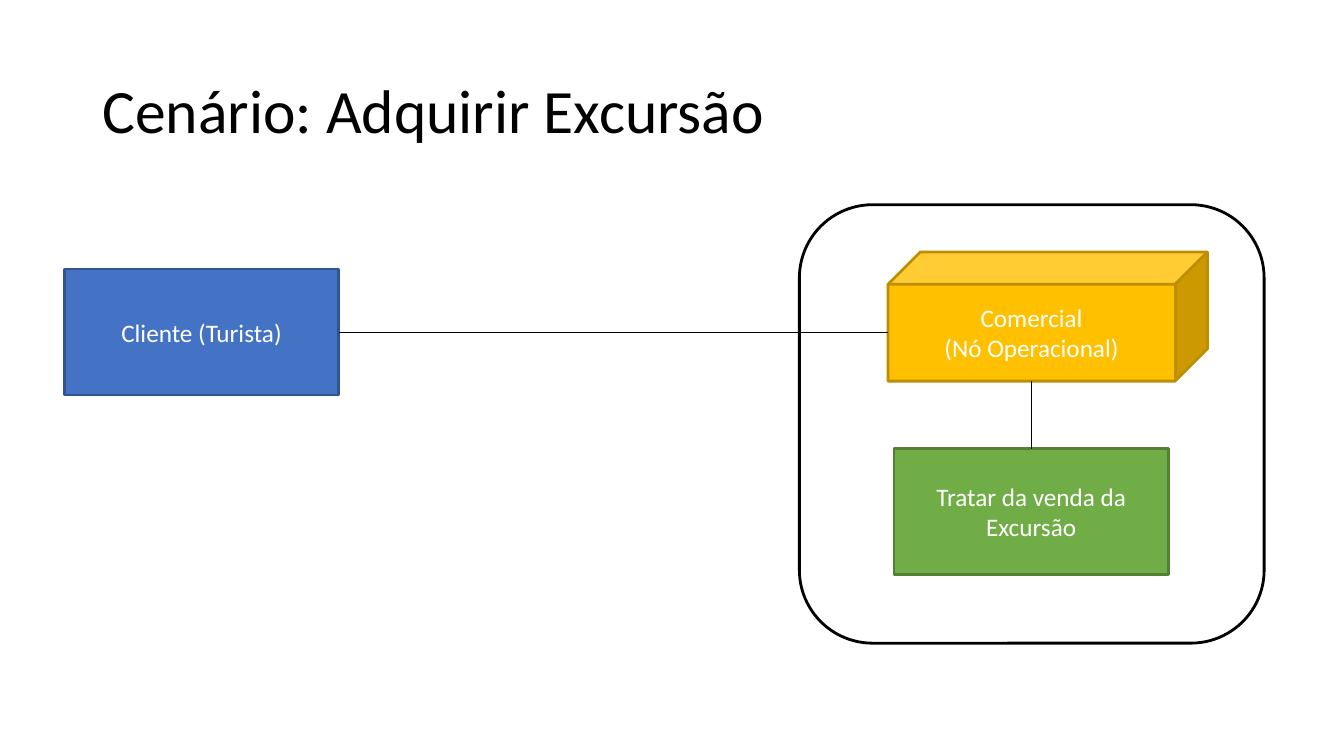
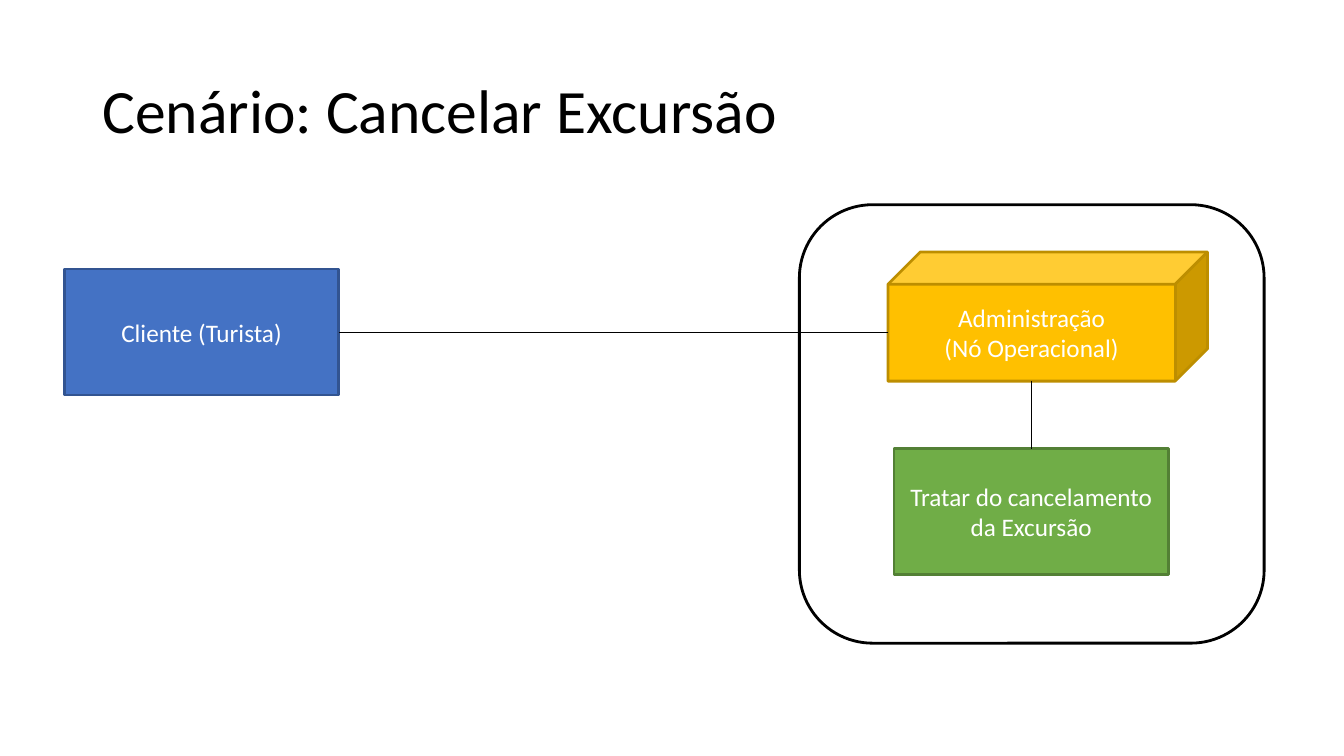
from dataclasses import dataclass

from lxml import etree
from pptx import Presentation
from pptx import util as u
from pptx.dml.color import RGBColor
from pptx.enum import shapes, text
from pptx.oxml.ns import qn

SCENARIOS = [
    {"title": "Cenário: Adquirir Excursão",
     "client": ["Cliente (Turista)"],
     "node": ["Comercial", "(Nó Operacional)"],
     "task": ["Tratar da venda da Excursão"]},
    {"title": "Cenário: Cancelar Excursão",
     "client": ["Cliente (Turista)"],
     "node": ["Administração", "(Nó Operacional)"],
     "task": ["Tratar do cancelamento da Excursão"]},
]


@dataclass(frozen=True)
class Theme:
    font: str = "Calibri"
    title_size: float = 44
    label_size: float = 18
    ink: str = "000000"
    label: str = "FFFFFF"
    client: tuple = ("4472C4", "325491")
    node: tuple = ("FFC000", "BD8E00")
    task: tuple = ("70AD47", "538035")
    frame: tuple = (None, "000000")
    outline: float = 2
    link: float = 0.75


@dataclass(frozen=True)
class Box:
    left: float
    top: float
    width: float
    height: float

    @property
    def right(self):
        return self.left + self.width

    @property
    def bottom(self):
        return self.top + self.height

    @property
    def middle(self):
        return self.left + self.width / 2, self.top + self.height / 2

    def lengths(self):
        return [u.Pt(value) for value in (self.left, self.top, self.width, self.height)]


THEME = Theme()
SLIDE_SIZE = (960, 540)
TITLE = Box(66, 28.8, 828, 104.4)
CLIENT = Box(46, 192.2, 196, 90)
FRAME = Box(571, 146.2, 332, 313.2)
NODE = Box(634.3, 180, 228.2, 92.2)
TASK = Box(638.6, 320.4, CLIENT.width, CLIENT.height)
CUBE_DEPTH = 0.25
FRAME_ROUNDING = 0.167

depth = CUBE_DEPTH * NODE.height
NODE_FACE = Box(NODE.left, NODE.top + depth, NODE.width - depth, NODE.height - depth)


def style_font(paragraph, size, color):
    paragraph.font.name = THEME.font
    paragraph.font.size = u.Pt(size)
    paragraph.font.color.rgb = RGBColor.from_string(color)


def add_block(slide, kind, box, colors, lines=(), adjustment=None):
    fill, outline = colors
    shape = slide.shapes.add_shape(kind, *box.lengths())
    shape.shadow.inherit = False
    if adjustment is not None:
        shape.adjustments[0] = adjustment
    if fill:
        shape.fill.solid()
        shape.fill.fore_color.rgb = RGBColor.from_string(fill)
    else:
        shape.fill.background()
    shape.line.color.rgb = RGBColor.from_string(outline)
    shape.line.width = u.Pt(THEME.outline)
    if not lines:
        return
    frame = shape.text_frame
    frame.word_wrap = True
    frame.vertical_anchor = text.MSO_ANCHOR.MIDDLE
    frame.text = "\n".join(lines)
    for paragraph in frame.paragraphs:
        paragraph.alignment = text.PP_ALIGN.CENTER
        style_font(paragraph, THEME.label_size, THEME.label)


def add_link(slide, start, end):
    points = [u.Pt(value) for value in (*start, *end)]
    link = slide.shapes.add_connector(shapes.MSO_CONNECTOR.STRAIGHT, *points)
    link.line.color.rgb = RGBColor.from_string(THEME.ink)
    link.line.width = u.Pt(THEME.link)
    etree.SubElement(link.element.spPr, qn("a:effectLst"))


def add_scenario(presentation, layout, scenario):
    slide = presentation.slides.add_slide(layout)
    title = slide.shapes.title
    title.text = scenario["title"]
    paragraph = title.text_frame.paragraphs[0]
    paragraph.alignment = text.PP_ALIGN.LEFT
    paragraph.line_spacing = 0.9
    style_font(paragraph, THEME.title_size, THEME.ink)

    kinds = shapes.MSO_SHAPE
    add_block(slide, kinds.RECTANGLE, CLIENT, THEME.client, scenario["client"])
    add_block(slide, kinds.ROUNDED_RECTANGLE, FRAME, THEME.frame, adjustment=FRAME_ROUNDING)
    add_block(slide, kinds.CUBE, NODE, THEME.node, scenario["node"], CUBE_DEPTH)
    add_block(slide, kinds.RECTANGLE, TASK, THEME.task, scenario["task"])

    face_x, face_y = NODE_FACE.middle
    add_link(slide, (CLIENT.right, face_y), (NODE.left, face_y))
    add_link(slide, (face_x, NODE.bottom), (face_x, TASK.top))


def main():
    presentation = Presentation()
    presentation.slide_width, presentation.slide_height = map(u.Pt, SLIDE_SIZE)
    layout = presentation.slide_layouts.get_by_name("Title Only")
    title = layout.placeholders[0]
    title.left, title.top, title.width, title.height = TITLE.lengths()
    for scenario in SCENARIOS:
        add_scenario(presentation, layout, scenario)
    presentation.save("out.pptx")


if __name__ == "__main__":
    main()
